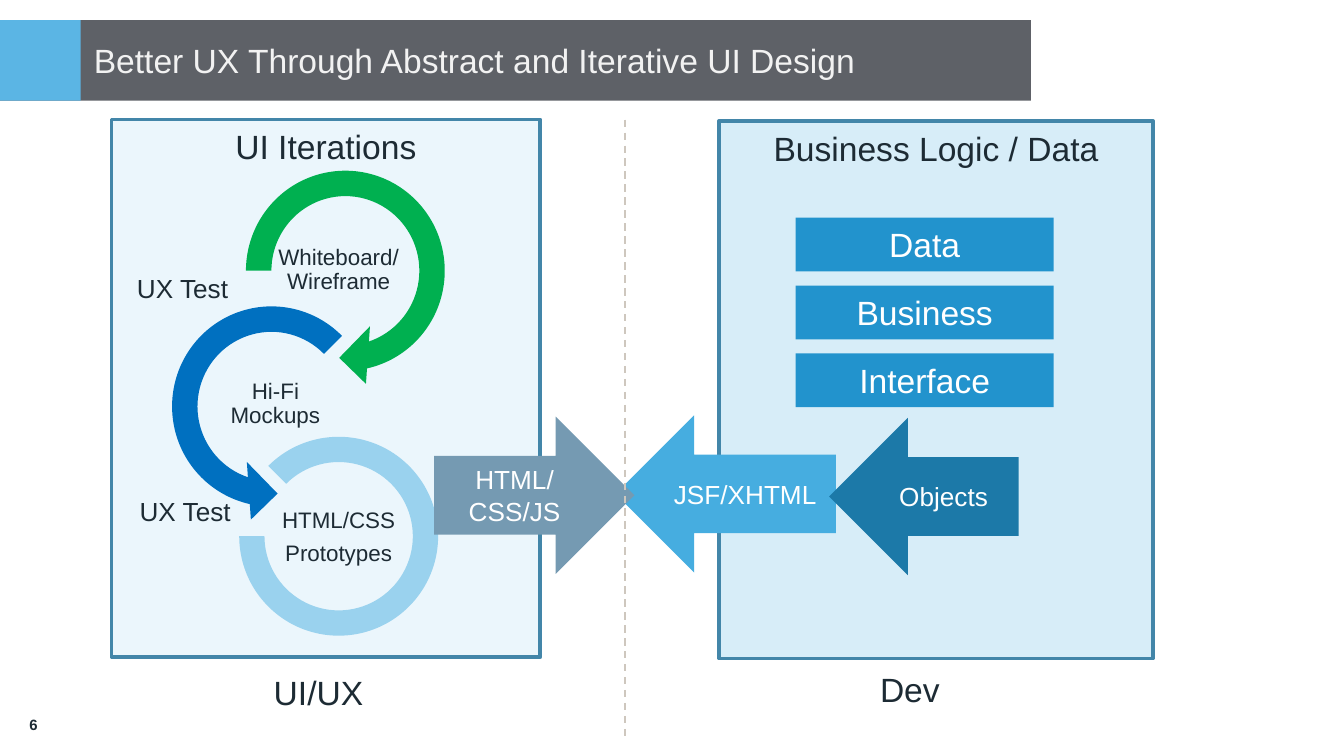
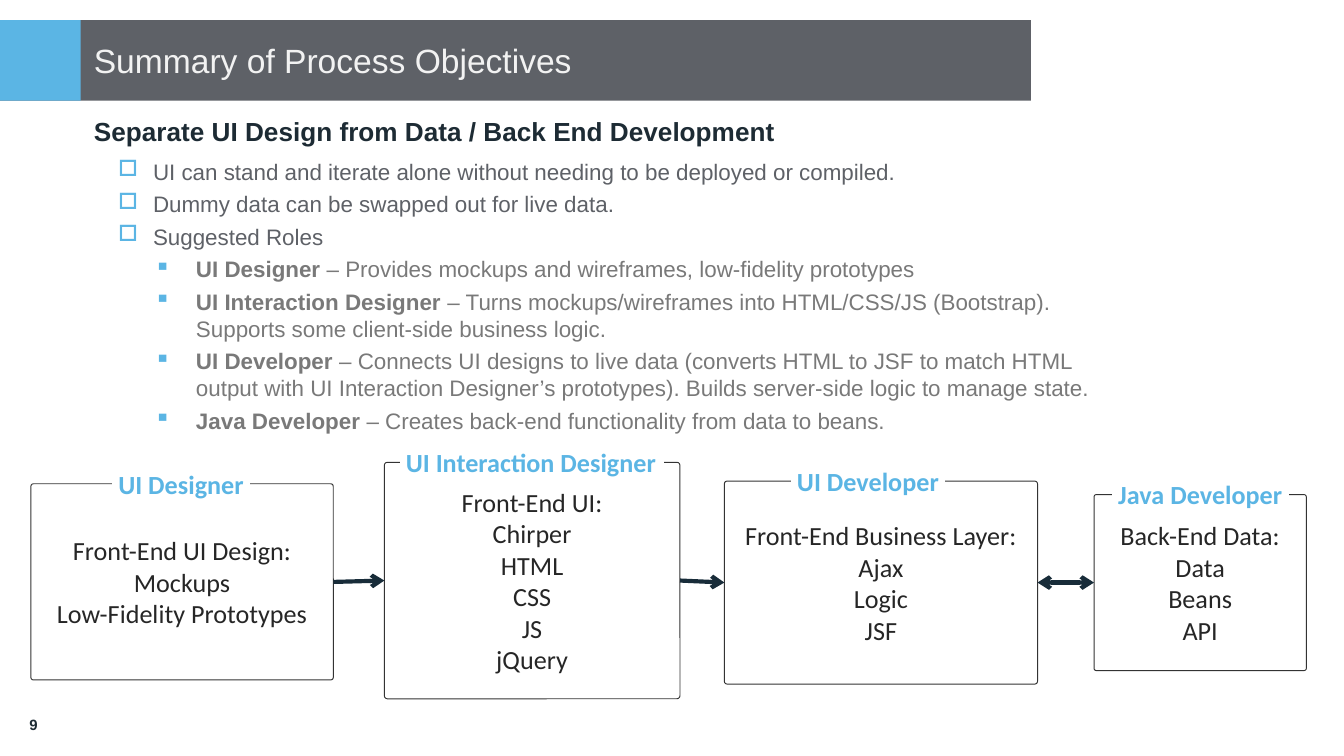
import dataclasses

import pptx
import pptx.dml.color
import pptx.enum.dml
import pptx.enum.shapes
import pptx.enum.text
import pptx.oxml.ns
import pptx.util
from lxml import etree

SHAPE = pptx.enum.shapes.MSO_SHAPE
ALIGN = pptx.enum.text.PP_ALIGN
ANCHOR = pptx.enum.text.MSO_ANCHOR
qn = pptx.oxml.ns.qn


@dataclasses.dataclass(frozen=True)
class Style:
    size: float
    color: str
    bold: bool = False
    font: str = "Arial"


class Theme:
    white, ink, band, accent = "FFFFFF", "1D2B34", "5E6167", "5BB5E4"
    ui_panel, dev_panel, panel_edge = "EBF6FC", "D7EDF8", "4386A9"
    green, blue, pale = "00B050", "0070C0", "9AD2EE"
    layer, html_arrow, jsf_arrow, object_arrow = "2293CD", "759AB2", "46ADE0", "1C79A8"
    divider, box_edge, flow = "CEC7BE", "333333", "182C39"
    title = Style(18, "F2F2F2")
    number = Style(8, ink, True)
    heading = Style(18, ink)
    note = Style(14, ink)
    step = Style(12, ink)
    on_layer = Style(18, white)
    on_arrow = Style(14, white)
    lead = Style(14, ink, True)
    point = Style(12, band)
    role_name = Style(12, "797979", True)
    role_text = Style(12, "797979")
    box = Style(14, "262626", font="Calibri")
    legend = Style(14, accent, True, "Calibri")


class Deck:
    """Places elements on a grid of 100 columns by 56.25 rows."""

    COLS, ROWS = 100, 56.25

    def __init__(self):
        self.prs = pptx.Presentation()
        self.prs.slide_width = pptx.util.Inches(10)
        self.prs.slide_height = pptx.util.Inches(5.625)
        self.s = None

    def x(self, cols):
        return round(self.prs.slide_width * cols / self.COLS)

    def y(self, rows):
        return round(self.prs.slide_height * rows / self.ROWS)

    def place(self, at):
        left, top, width, height = at
        return self.x(left), self.y(top), self.x(width), self.y(height)

    @staticmethod
    def rgb(color):
        return pptx.dml.color.RGBColor.from_string(color)

    def slide(self, title, number):
        """Starts a slide with its band, page number and title."""
        self.s = self.prs.slides.add_slide(self.prs.slide_layouts[6])
        self.shape(SHAPE.RECTANGLE, (0, 1.5, 76.7, 6), Theme.band)
        self.shape(SHAPE.RECTANGLE, (0, 1.5, 6, 6), Theme.accent)
        self.text((0, 51.5, 5, 4.8), [str(number)], Theme.number, anchor=ANCHOR.MIDDLE)
        self.text((6, 1.5, 70.7, 6), [title], Theme.title, align=ALIGN.LEFT,
                  anchor=ANCHOR.MIDDLE, inset=(1, 0.1))

    def add_run(self, p, text, style):
        r = p.add_run()
        r.text = text
        r.font.name, r.font.bold = style.font, style.bold
        r.font.size = pptx.util.Pt(style.size)
        r.font.color.rgb = self.rgb(style.color)

    def fill_text(self, sp, lines, style, align=ALIGN.CENTER, anchor=ANCHOR.TOP,
                  inset=(1, 0.5), wrap=True, spacing=None, after=None):
        tf = sp.text_frame
        tf.word_wrap, tf.vertical_anchor = wrap, anchor
        tf.margin_left = tf.margin_right = self.x(inset[0])
        tf.margin_top = tf.margin_bottom = self.y(inset[1])
        for i, line in enumerate(lines):
            p = tf.add_paragraph() if i else tf.paragraphs[0]
            p.alignment = align
            if spacing:
                p.line_spacing = spacing
            if after:
                p.space_after = pptx.util.Pt(after)
            self.add_run(p, line, style)

    def text(self, at, lines, style, **options):
        sp = self.s.shapes.add_textbox(*self.place(at))
        self.fill_text(sp, lines, style, **options)
        return sp

    def shape(self, kind, at, fill, line=None, width=1, adj=(), flip=False,
              lines=(), style=None, **options):
        sp = self.s.shapes.add_shape(kind, *self.place(at))
        sp.shadow.inherit = False
        sp.fill.solid()
        sp.fill.fore_color.rgb = self.rgb(fill)
        if line:
            sp.line.color.rgb = self.rgb(line)
            sp.line.width = pptx.util.Pt(width)
        else:
            sp.line.fill.background()
        for i, value in enumerate(adj):
            sp.adjustments[i] = value
        if flip:
            sp._element.spPr.get_or_add_xfrm().set("flipH", "1")
        if lines:
            self.fill_text(sp, lines, style, **options)
        return sp

    def connector(self, start, end, color, width):
        """Draws a straight line from one (column, row) to another."""
        c = self.s.shapes.add_connector(
            pptx.enum.shapes.MSO_CONNECTOR.STRAIGHT,
            self.x(start[0]), self.y(start[1]), self.x(end[0]), self.y(end[1]))
        c.line.color.rgb = self.rgb(color)
        c.line.width = pptx.util.Pt(width)
        etree.SubElement(c._element.spPr, qn("a:effectLst"))
        return c

    def flow(self, source, target, heads):
        """Joins the right side of one box to the left side of the next."""
        c = self.connector((0, 0), (0, 0), Theme.flow, 2.25)
        c.begin_connect(source, 3)
        c.end_connect(target, 1)
        for head in heads:
            etree.SubElement(c.line._get_or_add_ln(), qn(f"a:{head}"), type="arrow")

    def bullets(self, at, lead, items):
        """Sets a lead line, then (level, runs) items below it."""
        looks = {1: ("□", 0.44, 0.26), 2: ("▪", 0.76, 0.31)}
        tf = self.text(at, [lead], Theme.lead, align=ALIGN.LEFT, after=6).text_frame
        for i, (level, runs) in enumerate(items):
            char, margin, hang = looks[level]
            p = tf.add_paragraph()
            p.level = level
            p.space_before = pptx.util.Pt(3 if i else 0)
            pPr = p._p.get_or_add_pPr()
            pPr.set("marL", str(pptx.util.Inches(margin)))
            pPr.set("indent", str(-pptx.util.Inches(hang)))
            color = etree.SubElement(pPr, qn("a:buClr"))
            etree.SubElement(color, qn("a:srgbClr"), val=Theme.accent)
            etree.SubElement(pPr, qn("a:buChar"), char=char)
            for text, style in runs:
                self.add_run(p, text, style)

    def role_box(self, at, lines, legend, legend_at):
        """Draws a role's box with a legend set into its top edge."""
        sp = self.shape(SHAPE.ROUNDED_RECTANGLE, at, Theme.white, Theme.box_edge, 0.5,
                        adj=[0.013], lines=lines, style=Theme.box, anchor=ANCHOR.MIDDLE)
        left, width = legend_at
        self.shape(SHAPE.RECTANGLE, (left, at[1] - 1.2, width, 2.4), Theme.white,
                   Theme.white, 0.5, lines=[legend], style=Theme.legend,
                   align=ALIGN.LEFT, anchor=ANCHOR.MIDDLE, inset=(0.4, 0), wrap=False)
        return sp


def design_slide(deck):
    deck.slide("Better UX Through Abstract and Iterative UI Design", 6)

    # Panels
    for at, fill, heading in [
        ((53.5, 9, 32.3, 40), Theme.dev_panel, "Business Logic / Data"),
        ((8.3, 8.9, 31.9, 40), Theme.ui_panel, "UI Iterations"),
    ]:
        deck.shape(SHAPE.RECTANGLE, at, fill, Theme.panel_edge, 2,
                   lines=[heading], style=Theme.heading)

    # Iteration cycle
    for kind, at, fill, adj, label_at, label in [
        (SHAPE.CIRCULAR_ARROW, (17.1, 11.5, 17.2, 17.3), Theme.green,
         [0.11, 11.42, 45, 108, 0.125], (20.4, 17.7), ["Whiteboard/Wireframe"]),
        (SHAPE.LEFT_CIRCULAR_ARROW, (11.6, 21.6, 17.2, 17.3), Theme.blue,
         [0.11, 11.42, 63, 189, 0.125], (15.7, 27.7), ["Hi-Fi Mockups"]),
        (SHAPE.BLOCK_ARC, (17.8, 32.5, 14.8, 14.8), Theme.pale,
         [135, 108, 0.127], (20.4, 37.6), ["HTML/CSS", "Prototypes"]),
    ]:
        deck.shape(kind, at, fill, adj=adj)
        deck.text((*label_at, 9.6, 4.8), label, Theme.step, anchor=ANCHOR.MIDDLE,
                  inset=(0.1, 0.1), spacing=0.9, after=4.8)
    for left, top in [(9.2, 19.8), (9.4, 36.4)]:
        deck.text((left, top, 8.8, 3.4), ["UX Test"], Theme.note,
                  align=ALIGN.LEFT, wrap=False)

    # Back-end layers
    for i, layer in enumerate(["Data", "Business", "Interface"]):
        deck.shape(SHAPE.RECTANGLE, (59.2, 16.2 + 5.05 * i, 19.2, 4), Theme.layer,
                   lines=[layer], style=Theme.on_layer)

    # Hand-over arrows
    for at, fill, flip, label in [
        ((45.8, 30.9, 16.4, 11.7), Theme.jsf_arrow, True, "JSF/XHTML"),
        ((32.3, 31, 14.9, 11.7), Theme.html_arrow, False, "HTML/CSS/JS"),
        ((61.7, 31.1, 14.1, 11.7), Theme.object_arrow, True, "Objects"),
    ]:
        deck.shape(SHAPE.RIGHT_ARROW, at, fill, flip=flip, lines=[label],
                   style=Theme.on_arrow, anchor=ANCHOR.MIDDLE)

    # Team names and the line between them
    for left, top, team in [(15.6, 49.5, "UI/UX"), (59.6, 49.3, "Dev")]:
        deck.text((left, top, 16.2, 4), [team], Theme.heading)
    divider = deck.connector((46.5, 8.9), (46.5, 54.8), Theme.divider, 1)
    divider.line.dash_style = pptx.enum.dml.MSO_LINE.DASH


def summary_slide(deck):
    deck.slide("Summary of Process Objectives", 9)

    # Objectives and roles
    points = [
        "UI can stand and iterate alone without needing to be deployed or compiled.",
        "Dummy data can be swapped out for live data.",
        "Suggested Roles",
    ]
    roles = [
        ("UI Designer", " – Provides mockups and wireframes, low-fidelity prototypes"),
        ("UI Interaction Designer ", "– Turns mockups/wireframes into HTML/CSS/JS "
         "(Bootstrap). Supports some client-side business logic."),
        ("UI Developer ", "– Connects UI designs to live data (converts HTML to JSF to "
         "match HTML output with UI Interaction Designer’s prototypes). Builds "
         "server-side logic to manage state."),
        ("Java Developer ", "– Creates back-end functionality from data to beans."),
    ]
    items = [(1, [(point, Theme.point)]) for point in points]
    items += [(2, [(name, Theme.role_name), (duty, Theme.role_text)])
              for name, duty in roles]
    deck.bullets((6, 8.1, 79.9, 26.7),
                 "Separate UI Design from Data / Back End Development", items)

    # Role boxes
    designer = deck.role_box(
        (2.3, 36, 22.5, 14.6),
        ["Front-End UI Design:", "Mockups", "Low-Fidelity Prototypes"],
        "UI Designer", (8.4, 10.2))
    interaction = deck.role_box(
        (28.6, 34.4, 22, 17.6),
        ["Front-End UI:", "Chirper", "HTML", "CSS", "JS", "jQuery"],
        "UI Interaction Designer", (29.8, 19.6))
    developer = deck.role_box(
        (53.9, 35.8, 23.3, 15.1),
        ["Front-End Business Layer:", "Ajax", "Logic", "JSF"],
        "UI Developer", (58.9, 11.4))
    java = deck.role_box(
        (81.4, 36.8, 15.8, 13.1),
        ["Back-End Data:", "Data", "Beans", "API"],
        "Java Developer", (82.8, 13.1))

    # Flow between roles
    deck.flow(designer, interaction, ["tailEnd"])
    deck.flow(interaction, developer, ["tailEnd"])
    deck.flow(developer, java, ["headEnd", "tailEnd"])


def main():
    deck = Deck()
    design_slide(deck)
    summary_slide(deck)
    deck.prs.save("out.pptx")


if __name__ == "__main__":
    main()
